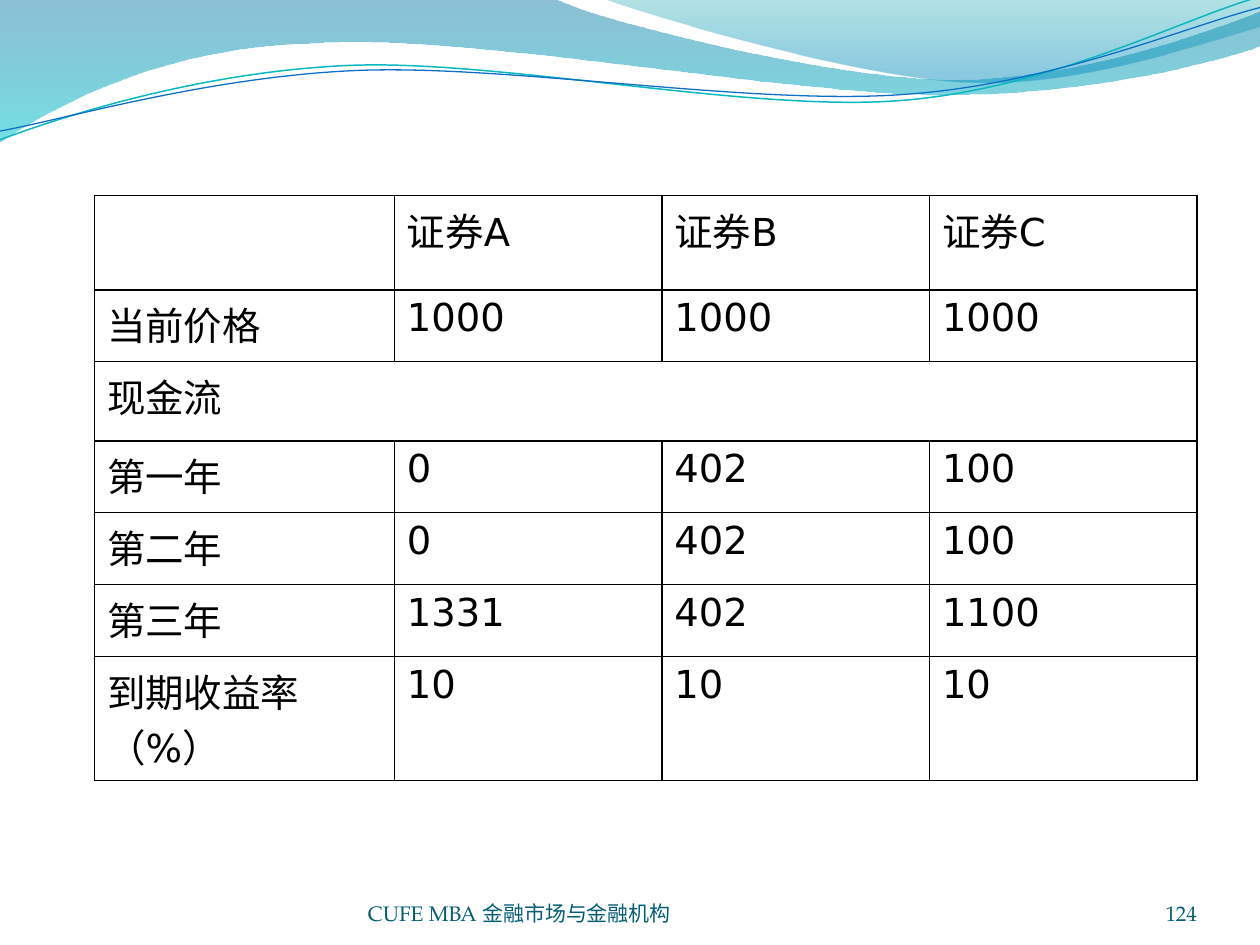
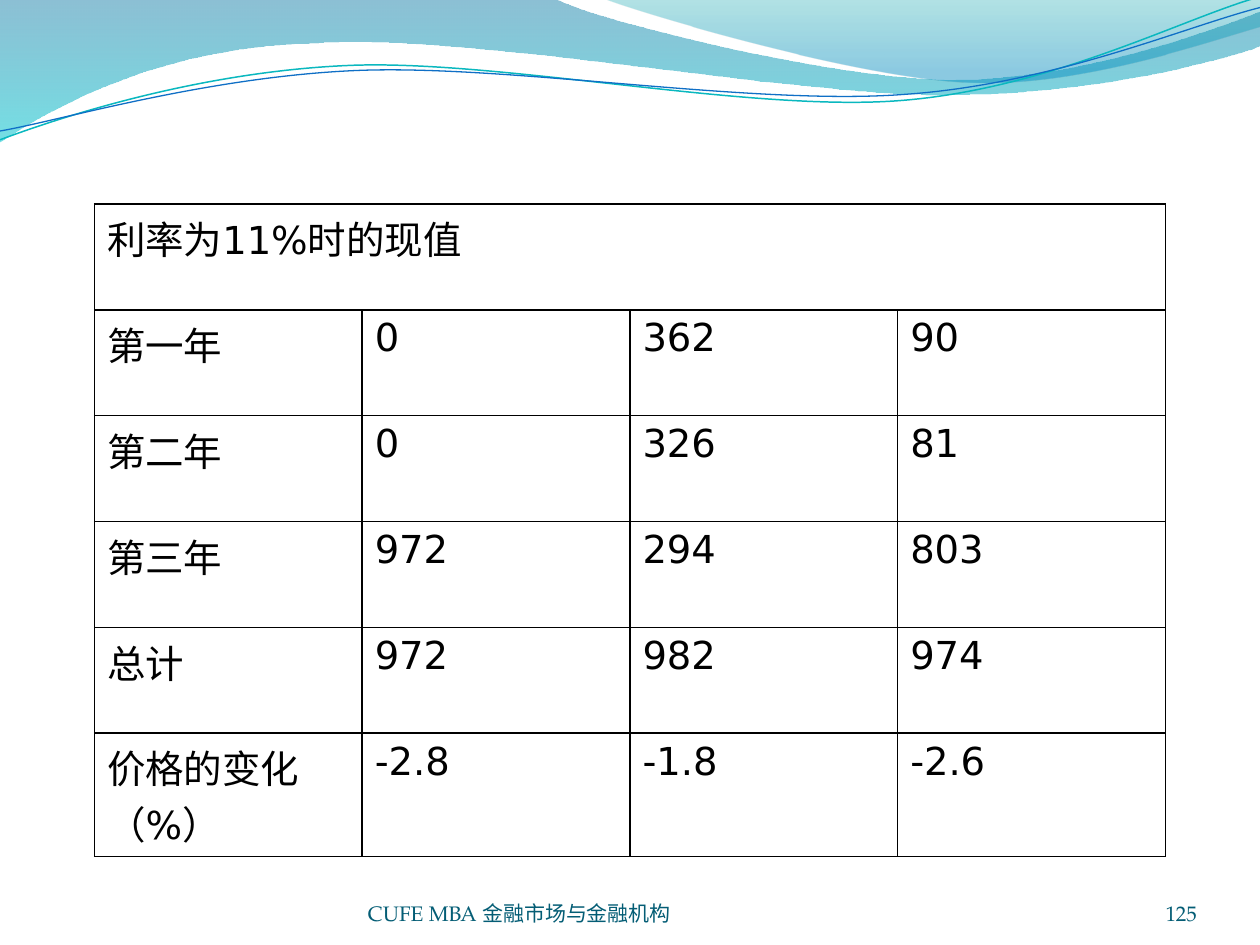
from dataclasses import dataclass

from lxml.etree import SubElement
from pptx import Presentation
from pptx.dml.color import RGBColor as RGB
from pptx.enum.text import MSO_ANCHOR as Anchor, PP_ALIGN as Align
from pptx.oxml.ns import qn
from pptx.util import Emu, Pt


@dataclass(frozen=True)
class Theme:
    ink: RGB = RGB(0x00, 0x00, 0x00)
    footer: RGB = RGB(0x04, 0x5D, 0x75)
    deep_blue: RGB = RGB(0x00, 0x74, 0xA1)
    aqua: RGB = RGB(0x00, 0xC6, 0xCF)
    teal: RGB = RGB(0x00, 0xA1, 0xA9)
    sky: RGB = RGB(0x00, 0x8B, 0xBF)
    teal_line: RGB = RGB(0x0A, 0xB8, 0xBF)
    blue_line: RGB = RGB(0x0F, 0x6F, 0xC6)
    table_font: str = "DejaVu Sans"
    footer_font: str = "TeX Gyre Pagella"
    table_size: Pt = Pt(22)
    footer_size: Pt = Pt(12)
    border: Pt = Pt(1)


EMU_PER_PX = 9144


def px(length):
    return Emu(round(length * EMU_PER_PX))


def add_curve(shapes, start, segments, close):
    corners = [point for segment in segments for point in zip(segment[::2], segment[1::2])]
    builder = shapes.build_freeform(px(start[0]), px(start[1]))
    builder.add_line_segments([(px(x), px(y)) for x, y in corners], close=close)
    curve = builder.convert_to_shape()
    curve.shadow.inherit = False
    outline = next(curve.element.spPr.iter(qn("a:path")))
    steps = iter(outline.findall(qn("a:lnTo")))
    for segment in segments:
        group = [next(steps) for _ in range(len(segment) // 2)]
        if len(group) == 3:
            bezier = SubElement(outline, qn("a:cubicBezTo"))
            outline.replace(group[0], bezier)
            bezier.append(group[0][0])
            for step in group[1:]:
                bezier.append(step[0])
                outline.remove(step)
    return curve


theme = Theme()
table_text = {"name": theme.table_font, "size": theme.table_size}
footer_text = {"name": theme.footer_font, "size": theme.footer_size}

deck = Presentation()
deck.slide_width, deck.slide_height = px(1000), px(750)
layout = deck.slide_layouts[6]
for placeholder in list(layout.placeholders):
    layout.shapes.element.remove(placeholder.element)

bands = [
    ((0, 0),
     [(440, -1), (476, 17, 664, 63, 758, 63), (853, 63, 958, 26, 1000, 9),
      (1001, 36), (983, 44, 870, 76, 746, 75), (622, 75, 382, 28, 257, 34),
      (129, 36, 46, 83, -1, 113)],
     [(0, theme.deep_blue, 45), (1, theme.aqua, 55)]),
    ((479, -1),
     [(509, 11, 682, 62, 769, 65), (856, 69, 961, 32, 1000, 21), (1000, 0)],
     [(0, theme.teal, 30), (0.8, theme.sky, 45)]),
]
waves = [
    ((0, 111),
     [(48, 93, 158, 57, 277, 52), (395, 47, 593, 89, 713, 80),
      (833, 71, 938, 15, 998, -2)],
     theme.teal_line, 0.85),
    ((0, 104),
     [(47, 96, 164, 61, 283, 56), (403, 51, 597, 84, 717, 75),
      (836, 67, 941, 21, 1000, 6)],
     theme.blue_line, 0.75),
]

tables = [
    {"number": "124", "top": 155, "width": 875, "first_column": 238,
     "heights": [75, 57, 63, 57, 57, 57, 57],
     "rows": [["", "证券A", "证券B", "证券C"],
              ["当前价格", "1000", "1000", "1000"],
              ["现金流"],
              ["第一年", "0", "402", "100"],
              ["第二年", "0", "402", "100"],
              ["第三年", "1331", "402", "1100"],
              ["到期收益率（%）", "10", "10", "10"]]},
    {"number": "125", "top": 162, "width": 850, "first_column": 850 / 4,
     "heights": [84] * 5 + [98],
     "rows": [["利率为11%时的现值"],
              ["第一年", "0", "362", "90"],
              ["第二年", "0", "326", "81"],
              ["第三年", "972", "294", "803"],
              ["总计", "972", "982", "974"],
              ["价格的变化（%）", "-2.8", "-1.8", "-2.6"]]},
]

slides = [deck.slides.add_slide(layout) for _ in tables]

header_art = []
for start, segments, stops in bands:
    band = add_curve(slides[0].shapes, start, segments, close=True)
    band.line.fill.background()
    band.fill.gradient()
    band.fill.gradient_angle = 270
    for stop, (position, color, _) in zip(band.fill.gradient_stops, stops):
        stop.position = position
        stop.color.rgb = color
    for color, (_, _, opacity) in zip(band.element.spPr.iter(qn("a:srgbClr")), stops):
        SubElement(color, qn("a:alpha"), val=str(opacity * 1000))
    header_art.append(band)

for start, segments, color, weight in waves:
    wave = add_curve(slides[0].shapes, start, segments, close=False)
    wave.fill.background()
    wave.line.color.rgb = color
    wave.line.width = Pt(weight)
    header_art.append(wave)

for art in header_art:
    layout.shapes.element.append(art.element)

for slide, content in zip(slides, tables):
    rows = content["rows"]
    table = slide.shapes.add_table(
        len(rows), 4, px(75), px(content["top"]),
        px(content["width"]), px(sum(content["heights"]))).table
    table.first_row = table.horz_banding = False
    first = content["first_column"]
    for index, column in enumerate(table.columns):
        column.width = px((content["width"] - first) / 3 if index else first)
    for row, height in zip(table.rows, content["heights"]):
        row.height = px(height)

    for row_index, values in enumerate(rows):
        if len(values) == 1:
            table.cell(row_index, 0).merge(table.cell(row_index, 3))
        for column_index, value in enumerate(values):
            cell = table.cell(row_index, column_index)
            cell.text = value
            font = cell.text_frame.paragraphs[0].font
            for attribute, setting in table_text.items():
                setattr(font, attribute, setting)
            font.color.rgb = theme.ink

    for cell in table.iter_cells():
        properties = cell._tc.get_or_add_tcPr()
        for side in ("a:lnL", "a:lnR", "a:lnT", "a:lnB"):
            border = SubElement(properties, qn(side), w=str(theme.border))
            paint = SubElement(border, qn("a:solidFill"))
            SubElement(paint, qn("a:srgbClr"), val=str(theme.ink))
        cell.fill.background()

    for left, width, text, alignment in (
            (292, 367, "CUFE MBA 金融市场与金融机构", Align.LEFT),
            (867, 83, content["number"], Align.RIGHT)):
        frame = slide.shapes.add_textbox(px(left), px(695), px(width), px(40)).text_frame
        frame_format = {"word_wrap": True, "vertical_anchor": Anchor.BOTTOM,
                        "margin_left": 0, "margin_right": 0,
                        "margin_top": 0, "margin_bottom": 0}
        for attribute, setting in frame_format.items():
            setattr(frame, attribute, setting)
        line = frame.paragraphs[0]
        line.alignment = alignment
        run = line.add_run()
        run.text = text
        for attribute, setting in footer_text.items():
            setattr(run.font, attribute, setting)
        run.font.color.rgb = theme.footer

deck.save("out.pptx")
